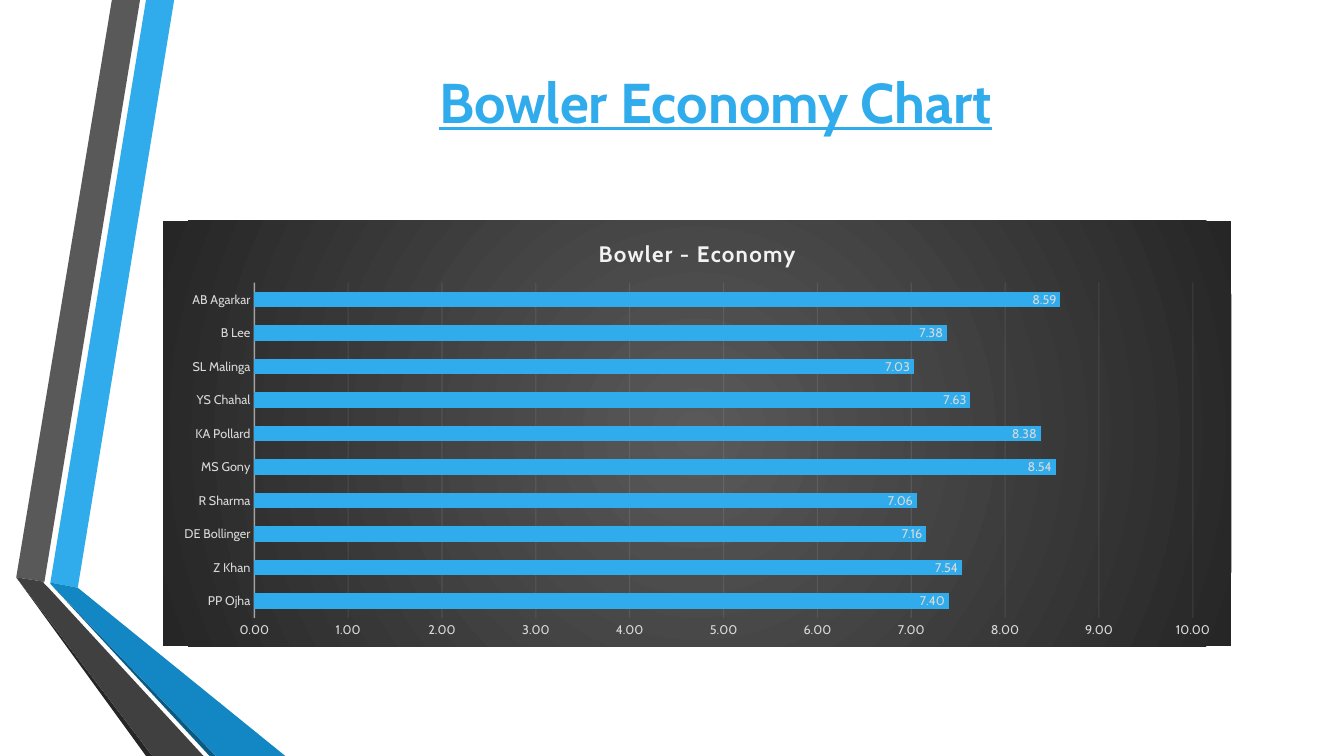
from lxml import etree
from pptx import Presentation
from pptx.chart.data import CategoryChartData
from pptx.dml.color import RGBColor
from pptx.enum.chart import XL_CHART_TYPE, XL_LABEL_POSITION, XL_TICK_MARK
from pptx.enum.text import MSO_ANCHOR, PP_ALIGN
from pptx.oxml import parse_xml
from pptx.oxml.ns import nsdecls, qn
from pptx.util import Cm, Pt

BAR = XL_CHART_TYPE.BAR_CLUSTERED
INSIDE_END = XL_LABEL_POSITION.INSIDE_END
NO_TICK = XL_TICK_MARK.NONE
MIDDLE = MSO_ANCHOR.MIDDLE
CENTER = PP_ALIGN.CENTER

# Content
FONT = "Cabin"
COLORS = {
    "blue": "30ACEC", "blue_dark": "1287C3", "blue_deep": "0C5A82",
    "gray": "595959", "gray_dark": "404040", "gray_deep": "262626",
    "label": "D9D9D9", "light": "F2F2F2",
}
TITLE = "Bowler Economy Chart"
CHART_TITLE = "Bowler - Economy"
NUMBER_FORMAT = "0.00"
ECONOMY = [
    ("PP Ojha", 7.40), ("Z Khan", 7.54), ("DE Bollinger", 7.16),
    ("R Sharma", 7.06), ("MS Gony", 8.54), ("KA Pollard", 8.38),
    ("YS Chahal", 7.63), ("SL Malinga", 7.03), ("B Lee", 7.38),
    ("AB Agarkar", 8.59),
]

# Layout in centimetres: left, top, width, height
PAGE_SIZE = (33.87, 19.05)
TITLE_BOX = (4.11, 1.5, 27.84, 2.08)
CHART_BOX = (4.11, 5.56, 26.92, 10.72)
BOTTOM = PAGE_SIZE[1]
RIBBONS = [
    ("blue", [(1.27, 14.68), (1.96, 14.81), (4.39, 0), (3.68, 0)]),
    ("gray", [(3.53, 0), (2.82, 0), (0.41, 14.55), (1.12, 14.66)]),
    ("gray_deep", [(0.41, 14.55), (3.68, BOTTOM), (3.84, BOTTOM)]),
    ("blue_deep", [(1.27, 14.71), (5.28, BOTTOM), (5.44, BOTTOM)]),
    ("blue_dark", [(1.27, 14.71), (5.44, BOTTOM), (7.19, BOTTOM),
                   (1.96, 14.81), (1.27, 14.68)]),
    ("gray_dark", [(5.13, BOTTOM), (1.22, 14.81), (1.09, 14.68),
                   (1.12, 14.66), (0.41, 14.55), (3.84, BOTTOM)]),
]


def rgb(name):
    return RGBColor.from_string(COLORS[name])


def style_font(font, size, color, bold=False, underline=None):
    font.name = FONT
    font.size = Pt(size)
    font.bold = bold
    font.underline = underline
    font.color.rgb = rgb(color)


def write(frame, text, align=CENTER, **style):
    para = frame.paragraphs[0]
    para.alignment = align
    span = para.add_run()
    span.text = text
    style_font(span.font, **style)
    return span


def add_ribbon(page, color, points):
    corners = [(Cm(x), Cm(y)) for x, y in points]
    builder = page.shapes.build_freeform(*corners[0], scale=1.0)
    builder.add_line_segments(corners[1:], close=True)
    ribbon = builder.convert_to_shape()
    ribbon.shadow.inherit = False
    ribbon.fill.solid()
    ribbon.fill.fore_color.rgb = rgb(color)
    ribbon.line.fill.background()


def style_line(line, color, width, opacity):
    line.width = Pt(width)
    line.color.rgb = rgb(color)
    for node in line.fill._xPr.iter(qn("a:srgbClr")):
        etree.SubElement(node, qn("a:alpha")).set("val", str(opacity * 1000))


def fill_radial(chart, inner, outer):
    background = parse_xml(
        f'<c:spPr {nsdecls("c", "a")}><a:gradFill><a:gsLst>'
        f'<a:gs pos="0"><a:srgbClr val="{COLORS[inner]}"/></a:gs>'
        f'<a:gs pos="100000"><a:srgbClr val="{COLORS[outer]}"/></a:gs>'
        '</a:gsLst><a:path path="circle"><a:fillToRect l="50000" t="50000" '
        'r="50000" b="50000"/></a:path></a:gradFill>'
        '<a:ln><a:noFill/></a:ln></c:spPr>')
    chart._chartSpace.find(qn("c:chart")).addnext(background)


def add_economy_chart(page):
    data = CategoryChartData(number_format=NUMBER_FORMAT)
    data.categories = [name for name, _ in ECONOMY]
    data.add_series("Series 1", [value for _, value in ECONOMY])
    box = [Cm(length) for length in CHART_BOX]
    chart = page.shapes.add_chart(BAR, *box, data).chart
    style_font(chart.font, size=10, color="label")
    chart.has_legend = False
    fill_radial(chart, "gray", "gray_deep")

    # Chart title
    chart.has_title = True
    span = write(chart.chart_title.text_frame, CHART_TITLE,
                 size=16, color="light", bold=True)
    span.font._element.set("spc", "100")
    chart.chart_title.include_in_layout = False

    # Axes
    names, scale = chart.category_axis, chart.value_axis
    for axis in (names, scale):
        axis.major_tick_mark = axis.minor_tick_mark = NO_TICK
        style_font(axis.tick_labels.font, size=9, color="label")
    names.has_major_gridlines = False
    style_line(names.format.line, "light", width=1, opacity=54)
    scale.minimum_scale, scale.maximum_scale, scale.major_unit = 0, 10, 1
    scale.tick_labels.number_format = NUMBER_FORMAT
    scale.tick_labels.number_format_is_linked = False
    scale.format.line.fill.background()
    scale.has_major_gridlines = True
    style_line(scale.major_gridlines.format.line, "light",
               width=0.75, opacity=10)

    # Bars and their values
    plot = chart.plots[0]
    plot.vary_by_categories = False
    plot.gap_width, plot.overlap = 115, -20
    bars = plot.series[0]
    bars.format.fill.solid()
    bars.format.fill.fore_color.rgb = rgb("blue")
    labels = bars.data_labels
    labels.show_value = True
    labels.position = INSIDE_END
    labels.number_format = NUMBER_FORMAT
    labels.number_format_is_linked = False
    style_font(labels.font, size=9, color="label")


def main():
    deck = Presentation()
    deck.slide_width, deck.slide_height = [Cm(side) for side in PAGE_SIZE]
    page = deck.slides.add_slide(deck.slide_layouts[6])

    # Folded ribbons on the left
    for color, points in RIBBONS:
        add_ribbon(page, color, points)

    # Heading
    box = page.shapes.add_textbox(*[Cm(length) for length in TITLE_BOX])
    box.text_frame.word_wrap = True
    box.text_frame.vertical_anchor = MIDDLE
    write(box.text_frame, TITLE, size=40, color="blue",
          bold=True, underline=True)

    add_economy_chart(page)
    deck.save("out.pptx")


if __name__ == "__main__":
    main()
